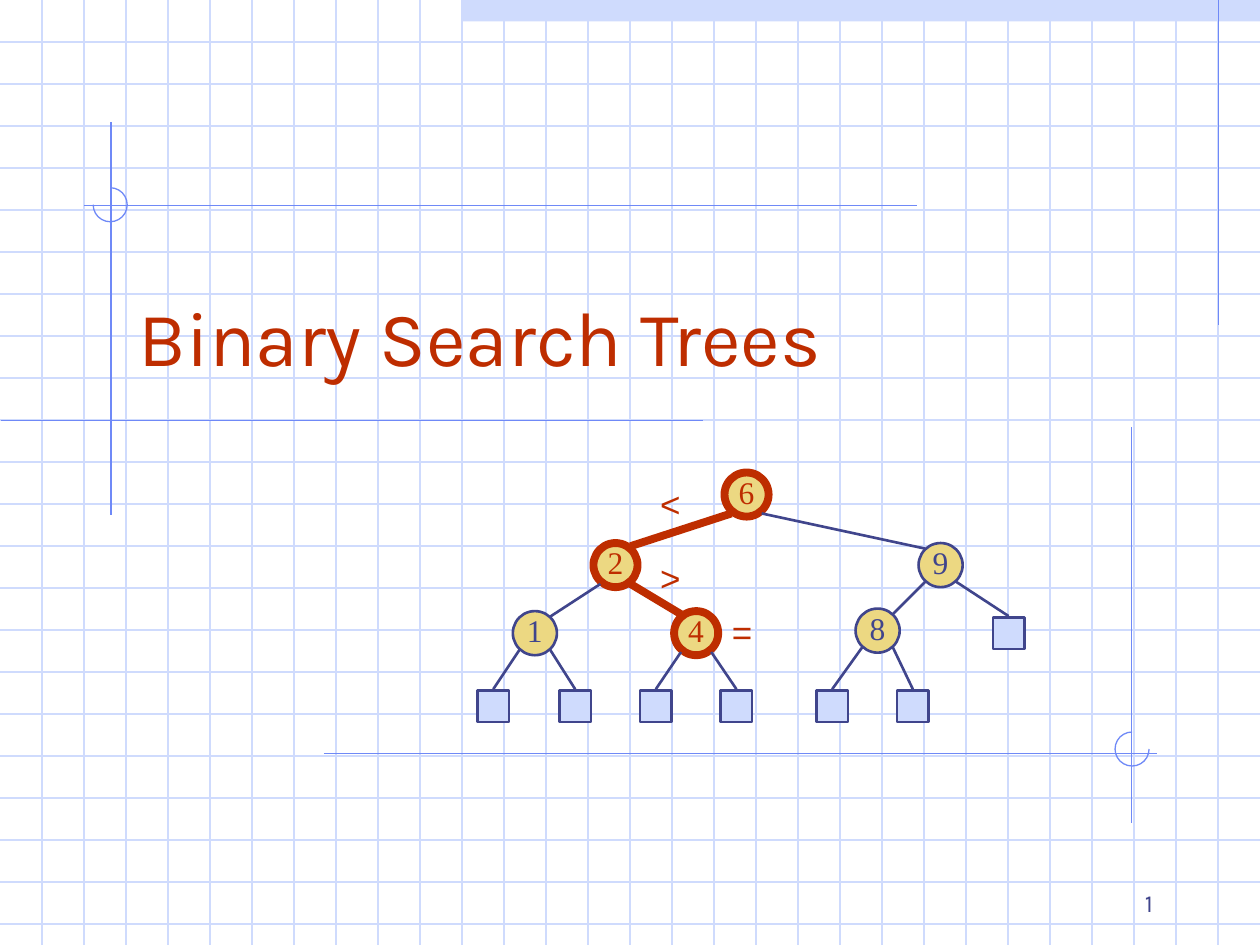
"""Title slide with a binary search tree on squared paper."""
from lxml.etree import SubElement
from pptx import Presentation
from pptx.dml.color import RGBColor
from pptx.enum.shapes import MSO_CONNECTOR as LINE, MSO_SHAPE as SHAPE
from pptx.enum.text import MSO_ANCHOR as ANCHOR, MSO_AUTO_SIZE as FIT, PP_ALIGN as ALIGN
from pptx.oxml.ns import qn
from pptx.util import Inches, Pt

RED, NAVY, GOLD, PALE, BLUE = "BE2D00", "40458C", "ECD882", "CFDBFD", "6F89F7"
COLS, ROWS = 10, 7.5
NODE, LEAF = 0.35, 0.25

NODES = {
    "6": (5.75, 3.75), "9": (7.29, 4.31), "2": (4.71, 4.31),
    "4": (5.35, 4.85), "1": (4.07, 4.85), "8": (6.79, 4.83),
}
SEARCH_KEYS = "624"
BRANCHES = ["62", "69", "21", "24", "98"]
LEAVES = [
    ("1", -1, 3.79, 5.48), ("1", 1, 4.44, 5.48), ("4", -1, 5.08, 5.48),
    ("4", 1, 5.72, 5.48), ("8", -1, 6.48, 5.48), ("8", 1, 7.12, 5.48),
    ("9", 1, 7.88, 4.9),
]
SIGNS = [("<", 5.14, 3.78, 0.36), (">", 5.14, 4.37, 0.36), ("=", 5.68, 4.8, 0.42)]
RULES = [
    (9.67, 0, 9.67, 2.58), (0.88, 0.97, 0.88, 4.09), (0.01, 3.34, 5.58, 3.34),
    (0.67, 1.63, 7.28, 1.63), (2.57, 5.98, 9.18, 5.98), (8.98, 3.39, 8.98, 6.53),
]


def rgb(code):
    """Turn a hex string into a colour."""
    return RGBColor.from_string(code)


class Sheet:
    """Holds the slide, its grid and its drawing style."""

    def __init__(self, prs):
        """Add a title-only slide and measure the grid unit."""
        self.s = prs.slides.add_slide(prs.slide_layouts[5])
        self.col, self.row = prs.slide_width / COLS, prs.slide_height / ROWS

    def place(self, x, y, w, h):
        """Convert columns and rows to slide lengths."""
        return [round(v) for v in (x * self.col, y * self.row, w * self.col, h * self.row)]

    def line(self, x1, y1, x2, y2, color, width=0.75):
        """Draw a straight line."""
        c = self.s.shapes.add_connector(LINE.STRAIGHT, *self.place(x1, y1, x2, y2))
        c.line.color.rgb, c.line.width = rgb(color), Pt(width)
        SubElement(c.element.spPr, qn("a:effectLst"))

    def shape(self, kind, x, y, w, h, fill=None, line=None, width=0.75):
        """Draw a preset shape."""
        sp = self.s.shapes.add_shape(kind, *self.place(x, y, w, h))
        sp.shadow.inherit = False
        if fill:
            sp.fill.solid()
            sp.fill.fore_color.rgb = rgb(fill)
        else:
            sp.fill.background()
        if line:
            sp.line.color.rgb, sp.line.width = rgb(line), Pt(width)
        else:
            sp.line.fill.background()
        return sp

    def arc(self, x, y, size, start, end):
        """Draw an open arc between two clockwise angles in degrees."""
        sp = self.shape(SHAPE.ARC, x, y, size, size, line=BLUE)
        for i, angle in enumerate((start, end)):
            sp.adjustments[i] = angle * 0.6

    def text(self, sp, words, size, font, color, align, anchor=ANCHOR.TOP, wrap=False):
        """Put one run of text into a shape."""
        tf = sp.text_frame
        tf.auto_size, tf.word_wrap, tf.vertical_anchor = FIT.NONE, wrap, anchor
        p = tf.paragraphs[0]
        p.alignment = align
        r = p.add_run()
        r.text = words
        r.font.size, r.font.name, r.font.color.rgb = Pt(size), font, rgb(color)
        return tf

    def title(self, words, *box):
        """Fill the title placeholder and bring it forward."""
        sp = self.s.shapes.title
        sp.left, sp.top, sp.width, sp.height = self.place(*box)
        self.text(sp, words, 44, "Karla", RED, ALIGN.LEFT, ANCHOR.BOTTOM, True)
        sp.element.getparent().append(sp.element)

    def label(self, words, box, *style):
        """Add a text box."""
        self.text(self.s.shapes.add_textbox(*self.place(*box)), words, *style)

    def node(self, key, x, y):
        """Draw a numbered tree node."""
        color, width = (RED, 4.5) if key in SEARCH_KEYS else (NAVY, 1.5)
        sp = self.shape(SHAPE.OVAL, x, y, NODE, NODE, GOLD, color, width)
        tf = self.text(sp, key, 18, "Times New Roman", color, ALIGN.CENTER, ANCHOR.MIDDLE)
        tf.margin_left = tf.margin_right = tf.margin_top = 0
        tf.margin_bottom = Inches(0.05)


def corner(key, side, down):
    """Return the point on a node's rim at one of its four diagonals."""
    x, y = NODES[key]
    rise = 0.15 if key in SEARCH_KEYS else 0.13
    return x + NODE / 2 + side * 0.12, y + NODE / 2 + down * rise


def draw_paper(sheet):
    """Draw the squared paper, its top band and its drafting lines."""
    sheet.shape(SHAPE.RECTANGLE, 3.67, 0, 6.33, 0.17, PALE)
    for i in range(1, 23):
        sheet.line(0, i / 3, COLS, i / 3, PALE)
    for i in range(1, 30):
        sheet.line(i / 3, 0, i / 3, ROWS, PALE)
    for rule in RULES:
        sheet.line(*rule, BLUE)
    sheet.arc(0.74, 1.49, 0.27, 270, 180)
    sheet.arc(8.85, 5.81, 0.27, 0, 270)


def draw_tree(sheet):
    """Draw the nodes, leaves, branches and comparison signs."""
    for key, (x, y) in NODES.items():
        sheet.node(key, x, y)
    for parent, side, x, y in LEAVES:
        sheet.shape(SHAPE.RECTANGLE, x, y, LEAF, LEAF, PALE, NAVY, 1.5)
        sheet.line(*corner(parent, side, 1), x + LEAF / 2, y - 0.01, NAVY, 1.5)
    for parent, child in BRANCHES:
        side = 1 if NODES[child][0] > NODES[parent][0] else -1
        style = (RED, 4.5) if child in SEARCH_KEYS else (NAVY, 1.5)
        sheet.line(*corner(parent, side, 1), *corner(child, -side, -1), *style)
    for sign, x, y, w in SIGNS:
        sheet.label(sign, (x, y, w, 0.44), 20, "Arial", RED, ALIGN.CENTER)


def main():
    """Build and save the slide."""
    prs = Presentation()
    prs.slide_width, prs.slide_height = Inches(10), Inches(7.5)
    sheet = Sheet(prs)
    draw_paper(sheet)
    sheet.title("Binary Search Trees", 1, 1.83, 8.5, 1.25)
    draw_tree(sheet)
    sheet.label("1", (7.17, 6.83, 2.08, 0.5), 14, "Karla", NAVY, ALIGN.RIGHT, ANCHOR.BOTTOM, True)
    prs.save("out.pptx")


if __name__ == "__main__":
    main()
